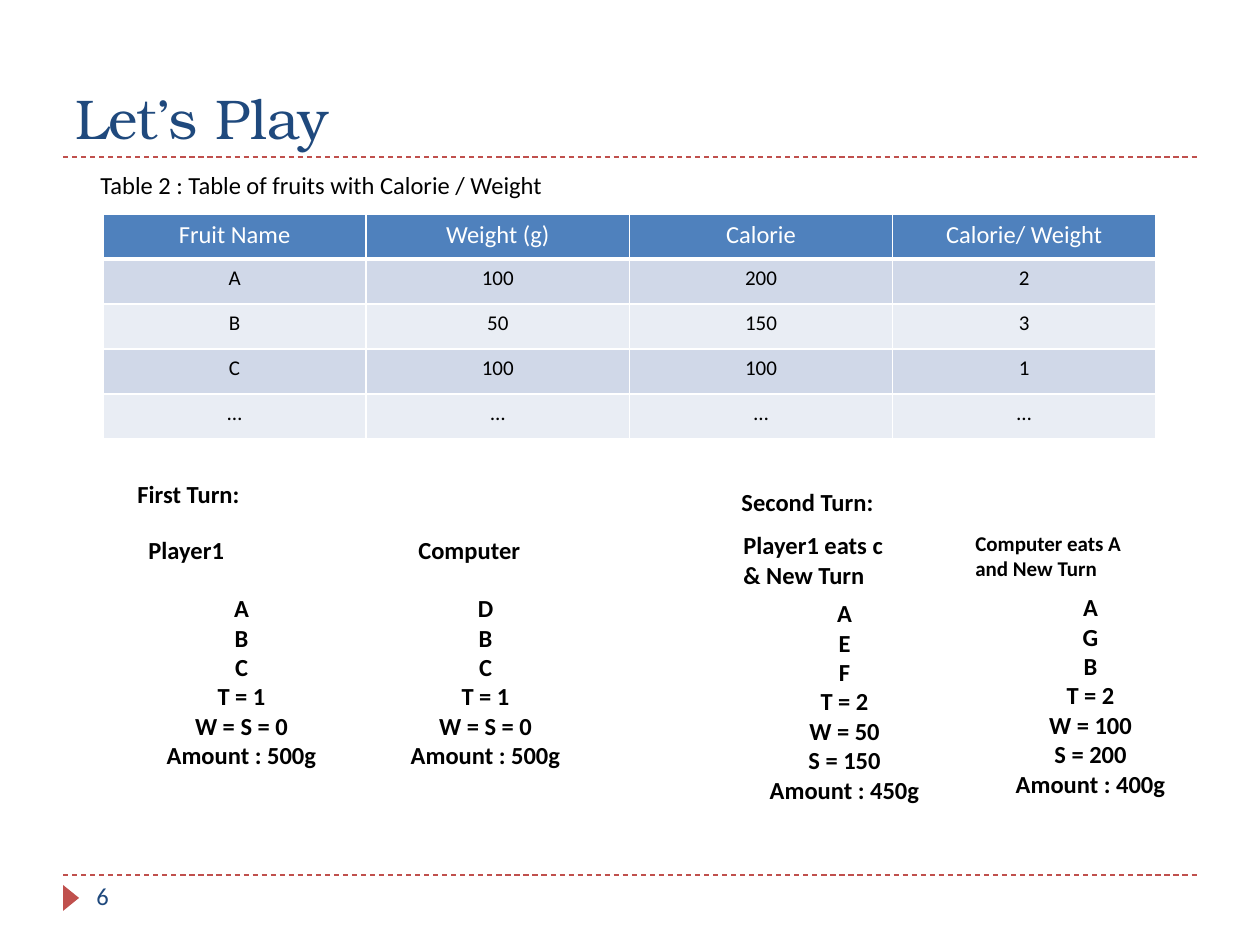
from lxml.etree import SubElement as sub
from pptx import Presentation
from pptx.dml.color import RGBColor as RGB
from pptx.enum.dml import MSO_LINE_DASH_STYLE as DASH
from pptx.enum.shapes import MSO_CONNECTOR as CONN, MSO_SHAPE as SHAPE
from pptx.enum.text import MSO_ANCHOR as ANCHOR, MSO_AUTO_SIZE as AUTO, PP_ALIGN as ALIGN
from pptx.oxml.ns import qn
from pptx.util import Emu, Pt

SCALE = 914400 / 126  # EMU in one px
WIDE, HIGH = 1260, 945

NAVY = RGB(0x1F, 0x49, 0x7D)
BLUE = RGB(0x4F, 0x81, 0xBD)
RED = RGB(0xC0, 0x50, 0x4D)
DARK = RGB(0xD0, 0xD8, 0xE8)
LIGHT = RGB(0xE9, 0xED, 0xF4)
WHITE = RGB(0xFF, 0xFF, 0xFF)
BLACK = RGB(0, 0, 0)
BODY, SERIF = "Calibri", "TeX Gyre Bonum"

FRUITS = [
    ("Fruit Name", "Weight (g)", "Calorie", "Calorie/ Weight"),
    ("A", "100", "200", "2"),
    ("B", "50", "150", "3"),
    ("C", "100", "100", "1"),
    ("…", "…", "…", "…"),
]

# Each player: head, its size, its offset and height, then items and their offset
FIRST = [
    ("Player1", 14, (11, 56, 43),
     ("A", "B", "C", "T = 1", "W = S = 0", "Amount : 500g"), (0, 114)),
    ("Computer", 14, (281, 56, 43),
     ("D", "B", "C", "T = 1", "W = S = 0", "Amount : 500g"), (244, 114)),
]
SECOND = [
    ("Player1 eats c & New Turn", 14, (2, 43, 72),
     ("A", "E", "F", "T = 2", "W = 50", "S = 150", "Amount : 450g"), (-1, 111)),
    ("Computer eats A and New Turn", 12, (234, 43, 63),
     ("A", "G", "B", "T = 2", "W = 100", "S = 200", "Amount : 400g"), (245, 105)),
]


def px(*nums):
    return [Emu(round(n * SCALE)) for n in nums]


def style(frame, size, color, bold=False, font=BODY, align=ALIGN.LEFT):
    for para in frame.paragraphs:
        para.alignment = align
        for run in para.runs:
            run.font.size = Pt(size)
            run.font.name = font
            run.font.bold = bold
            run.font.color.rgb = color


def add_text(slide, box, text, size=14, color=BLACK, grow=True, **look):
    frame = slide.shapes.add_textbox(*px(*box)).text_frame
    frame.word_wrap = True
    frame.auto_size = AUTO.SHAPE_TO_FIT_TEXT if grow else AUTO.NONE
    frame.text = text
    style(frame, size, color, **look)
    return frame


def add_rule(slide, left, top, width):
    rule = slide.shapes.add_connector(CONN.STRAIGHT, *px(left, top, left + width, top))
    rule.line.color.rgb = RED
    rule.line.width = Pt(0.75)
    rule.line.dash_style = DASH.DASH
    sub(rule._element.spPr, qn("a:effectLst"))


def add_title(slide, left, top, width, height):
    frame = add_text(slide, (left, top, width, height), "Let’s Play", 32, NAVY,
                     grow=False, font=SERIF)
    frame.vertical_anchor = ANCHOR.BOTTOM
    add_rule(slide, left, top + height, width)


def add_footer(slide, left, top, width):
    add_rule(slide, left, top, width)
    mark = slide.shapes.add_shape(SHAPE.ISOSCELES_TRIANGLE, *px(left - 5, top + 15, 26, 16))
    mark.rotation = 90
    mark.shadow.inherit = False
    mark.fill.solid()
    mark.fill.fore_color.rgb = RED
    mark.line.fill.background()
    add_text(slide, (left + 21, top, 273, 50), "6", 14, NAVY, grow=False)


def edge(cell, side, points):
    line = sub(cell._tc.get_or_add_tcPr(), qn("a:" + side), w=str(Pt(points)))
    fill = sub(line, qn("a:solidFill"))
    sub(fill, qn("a:srgbClr"), val=str(WHITE))


def add_fruits(slide, left, top, width, height):
    # Caption
    add_text(slide, (left - 15, top - 50, 784, 43),
             "Table 2 : Table of fruits with Calorie / Weight")
    # Grid
    table = slide.shapes.add_table(len(FRUITS), len(FRUITS[0]),
                                   *px(left, top, width, height)).table
    for r, row in enumerate(FRUITS):
        for c, text in enumerate(row):
            cell = table.cell(r, c)
            edge(cell, "lnL", 1)
            edge(cell, "lnR", 1)
            edge(cell, "lnT", 3 if r == 1 else 1)
            edge(cell, "lnB", 3 if r == 0 else 1)
            cell.fill.solid()
            cell.fill.fore_color.rgb = BLUE if r == 0 else DARK if r % 2 else LIGHT
            cell.text_frame.text = text
            size, color = (12, BLACK) if r else (14, WHITE)
            style(cell.text_frame, size, color, align=ALIGN.CENTER)


def add_turn(slide, left, top, name, players):
    add_text(slide, (left, top, 396, 43), name, bold=True)
    for head, size, (x, y, high), items, (dx, dy) in players:
        add_text(slide, (left + x, top + y, 186, high), head, size, bold=True)
        add_text(slide, (left + dx, top + dy, 233, 13 + 30 * len(items)),
                 "\n".join(items), bold=True, align=ALIGN.CENTER)


def main():
    deck = Presentation()
    deck.slide_width, deck.slide_height = px(WIDE, HIGH)
    slide = deck.slides.add_slide(deck.slide_layouts[6])
    add_title(slide, 63, 21, 1134, 136)
    add_fruits(slide, 103, 214, 1053, 225)
    add_turn(slide, 125, 473, "First Turn:", FIRST)
    add_turn(slide, 729, 481, "Second Turn:", SECOND)
    add_footer(slide, 63, 875, 1134)
    deck.save("out.pptx")


if __name__ == "__main__":
    main()
